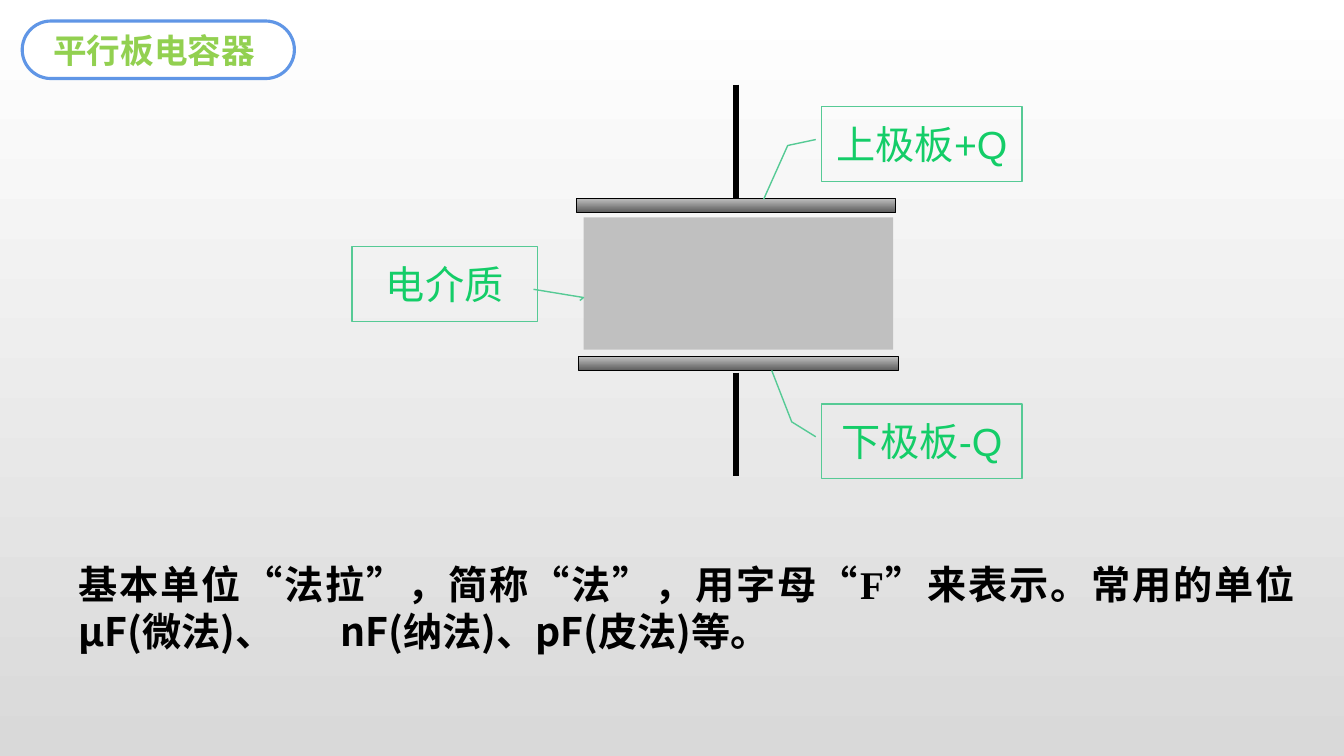
from lxml.etree import SubElement
from pptx import Presentation
from pptx.dml.color import RGBColor
from pptx.enum.shapes import MSO_CONNECTOR, MSO_SHAPE
from pptx.enum.text import MSO_ANCHOR, MSO_AUTO_SIZE, PP_ALIGN
from pptx.oxml.ns import qn
from pptx.util import Cm, Pt

WHITE = RGBColor(0xFF, 0xFF, 0xFF)
BLACK = RGBColor(0x00, 0x00, 0x00)
BACKDROP_GREY = RGBColor(0xD9, 0xD9, 0xD9)
SILVER = RGBColor(0xC0, 0xC0, 0xC0)
DARK_GREY = RGBColor(0x59, 0x59, 0x59)
BLUE = RGBColor(0x60, 0x96, 0xE6)
LIME = RGBColor(0x92, 0xD0, 0x50)
LABEL_GREEN = RGBColor(0x14, 0xCD, 0x68)
BORDER_GREEN = RGBColor(0x56, 0xCA, 0x95)
CJK_FONT = "Noto Sans CJK SC"


def set_typeface(font, latin, east_asian=CJK_FONT):
    font.name = latin
    SubElement(font._element, qn("a:ea")).set("typeface", east_asian)


def set_style(font, size, color, bold=False):
    font.size = Pt(size)
    font.bold = bold
    font.color.rgb = color


def fill_gradient(fill, start, end):
    fill.gradient()
    fill.gradient_angle = 270
    for stop, color in zip(fill.gradient_stops, (start, end)):
        stop.color.rgb = color


def add_plain_shape(slide, preset, left, top, width, height):
    shape = slide.shapes.add_shape(preset, Cm(left), Cm(top), Cm(width), Cm(height))
    shape.shadow.inherit = False
    return shape


def add_plate(slide, left, top):
    plate = add_plain_shape(slide, MSO_SHAPE.RECTANGLE, left, top, 8.05, 0.36)
    fill_gradient(plate.fill, SILVER, DARK_GREY)
    plate.line.color.rgb = BLACK
    plate.line.width = Pt(0.75)


def add_lead(slide, x, top, bottom):
    lead = slide.shapes.add_connector(
        MSO_CONNECTOR.STRAIGHT, Cm(x), Cm(top), Cm(x), Cm(bottom))
    lead.line.color.rgb = BLACK
    lead.line.width = Pt(4.5)
    SubElement(lead._element.spPr, qn("a:effectLst"))


def add_label(slide, wording, left, top, width, pointer):
    label = add_plain_shape(slide, MSO_SHAPE.LINE_CALLOUT_2, left, top, width, 1.88)
    for index, value in enumerate(pointer):
        label.adjustments[index] = value
    label.fill.background()
    label.line.color.rgb = BORDER_GREEN
    label.line.width = Pt(1)
    frame = label.text_frame
    frame.word_wrap = False
    frame.vertical_anchor = MSO_ANCHOR.MIDDLE
    paragraph = frame.paragraphs[0]
    paragraph.text = wording
    paragraph.alignment = PP_ALIGN.CENTER
    set_style(paragraph.font, 28, LABEL_GREEN)
    set_typeface(paragraph.font, "Arial")


def build_title(slide, left, top, width, height):
    pill = add_plain_shape(slide, MSO_SHAPE.ROUNDED_RECTANGLE, left, top, width, height)
    pill.adjustments[0] = 0.5
    pill.fill.solid()
    pill.fill.fore_color.rgb = WHITE
    pill.line.color.rgb = BLUE
    pill.line.width = Pt(2.25)

    title = slide.shapes.title
    title._element.addprevious(pill._element)
    title.left, title.top = Cm(left + 0.53), Cm(top + 0.1)
    title.width, title.height = Cm(width - 0.79), Cm(height - 0.18)
    frame = title.text_frame
    frame.auto_size = MSO_AUTO_SIZE.NONE
    frame.vertical_anchor = MSO_ANCHOR.MIDDLE
    paragraph = frame.paragraphs[0]
    paragraph.text = "平行板电容器"
    paragraph.alignment = PP_ALIGN.LEFT
    set_style(paragraph.font, 24, LIME, bold=True)
    set_typeface(paragraph.font, CJK_FONT)


def build_capacitor(slide, left, top, width, height):
    upper_plate, lower_plate = top + 2.87, top + 6.86
    dielectric = add_plain_shape(
        slide, MSO_SHAPE.RECTANGLE, left + 5.84, top + 3.35, 7.8, 3.33)
    dielectric.fill.solid()
    dielectric.fill.fore_color.rgb = SILVER
    dielectric.line.fill.background()

    add_plate(slide, left + 5.66, upper_plate)
    add_plate(slide, left + 5.72, lower_plate)

    charge_width = 5.05
    charge_left = left + width - charge_width
    add_label(slide, "上极板+Q", charge_left, top + 0.56, charge_width,
              (0.44, -0.03, 0.52, -0.17, 1.24, -0.29))
    add_label(slide, "下极板-Q", charge_left, top + 8.05, charge_width,
              (0.44, -0.03, 0.24, -0.15, -0.45, -0.25))
    add_label(slide, "电介质", left, top + 4.09, 4.67,
              (0.57, 0.98, 0.68, 1.25, 0.72, 1.23))

    add_lead(slide, left + 9.68, top, upper_plate)
    add_lead(slide, left + 9.68, lower_plate + 0.4, top + height)


def build_units(slide, left, top, width, height):
    units = slide.shapes.add_textbox(Cm(left), Cm(top), Cm(width), Cm(height))
    frame = units.text_frame
    frame.word_wrap = True
    frame.margin_left = frame.margin_right = frame.margin_top = frame.margin_bottom = 0
    paragraph = frame.paragraphs[0]
    paragraph.alignment = PP_ALIGN.JUSTIFY
    tabs = SubElement(paragraph._p.get_or_add_pPr(), qn("a:tabLst"))
    gap = SubElement(tabs, qn("a:tab"))
    gap.set("pos", str(Cm(6.6)))
    gap.set("algn", "l")
    set_style(paragraph.font, 28, BLACK, bold=True)
    for wording, typeface in (
        ("基本单位“法拉”，简称“法”，用字母“", CJK_FONT),
        ("F", "Times New Roman"),
        ("”来表示。常用的单位µF(微法)、\tnF(纳法)、pF(皮法)等。", CJK_FONT),
    ):
        run = paragraph.add_run()
        run.text = wording
        set_typeface(run.font, typeface)


def main():
    deck = Presentation()
    deck.slide_width, deck.slide_height = Cm(33.87), Cm(19.05)
    slide = deck.slides.add_slide(deck.slide_layouts.get_by_name("Title Only"))
    fill_gradient(slide.background.fill, WHITE, BACKDROP_GREY)
    build_title(slide, 0.56, 0.53, 6.86, 1.45)
    build_capacitor(slide, 8.87, 2.13, 16.89, 9.86)
    build_units(slide, 1.98, 14.12, 30.66, 2.39)
    deck.save("out.pptx")


if __name__ == "__main__":
    main()
